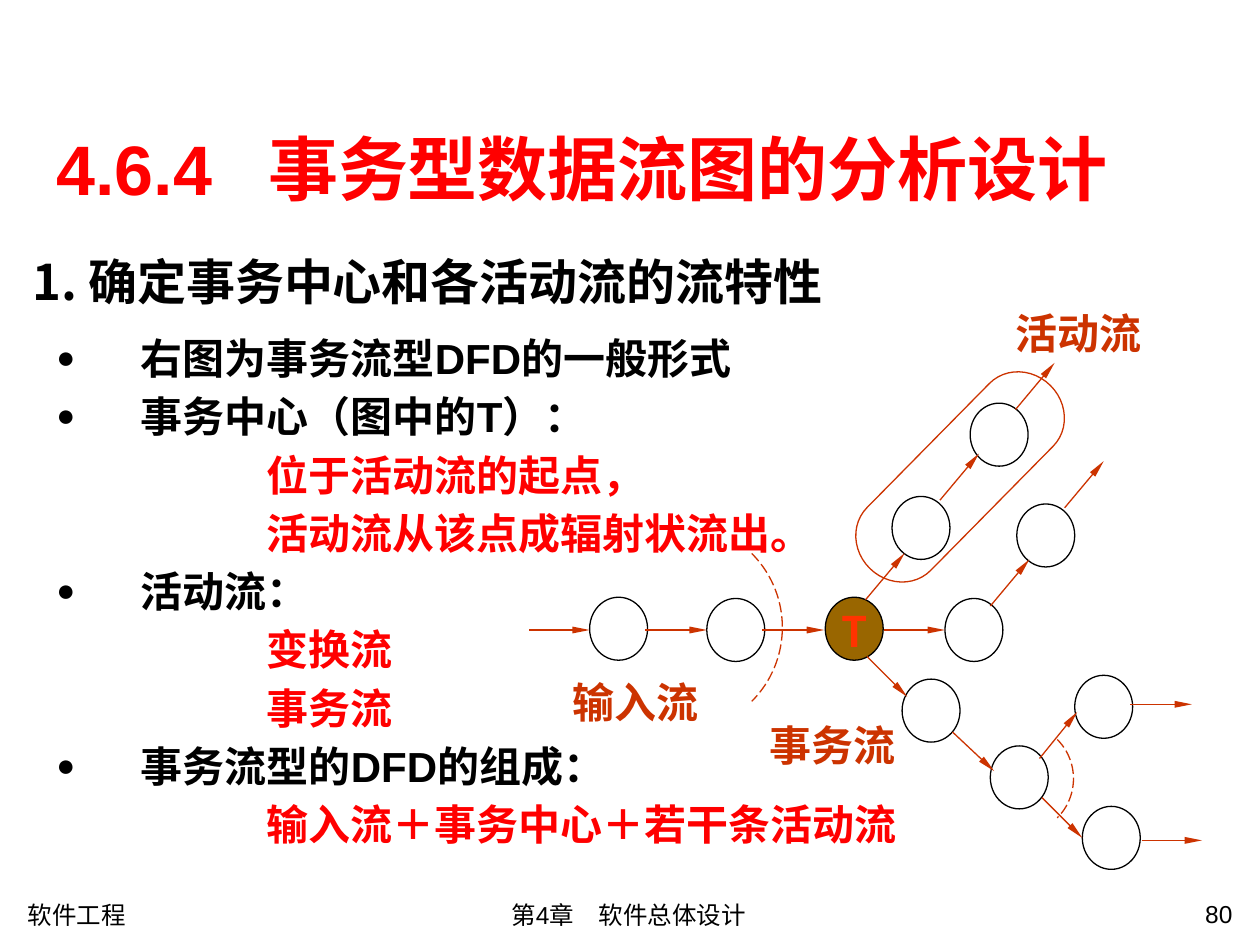
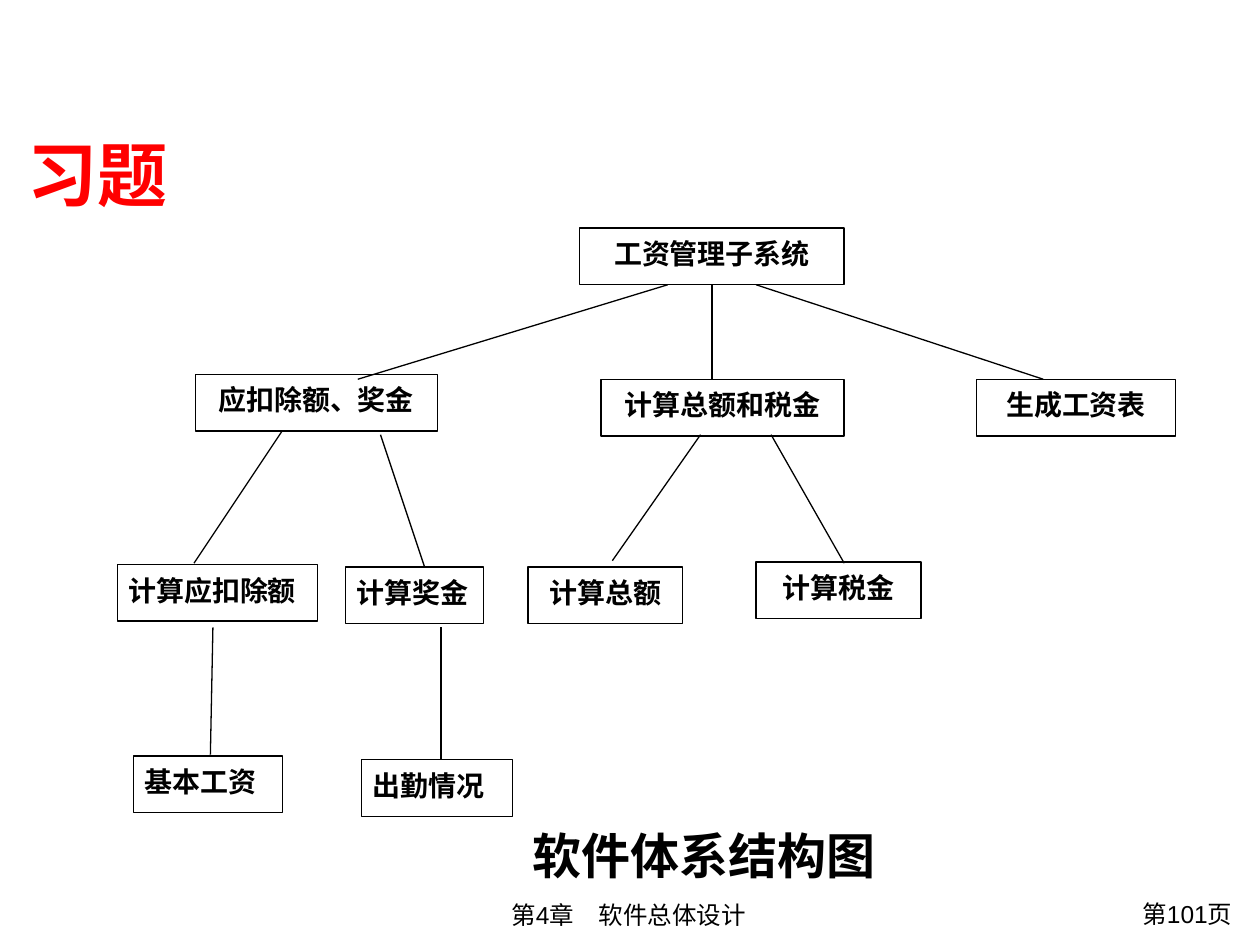
from lxml import etree
from pptx import Presentation
from pptx.dml.color import RGBColor
from pptx.enum.dml import MSO_LINE
from pptx.enum.shapes import MSO_CONNECTOR, MSO_SHAPE
from pptx.enum.text import MSO_ANCHOR, PP_ALIGN
from pptx.oxml.ns import qn
from pptx.util import Inches, Pt

BLACK = RGBColor(0, 0, 0)
WHITE = RGBColor(255, 255, 255)
RED = RGBColor(255, 0, 0)
RUST = RGBColor(0xCC, 0x33, 0x00)
BROWN = RGBColor(0x99, 0x66, 0x00)
ORANGE = RGBColor(0xFF, 0x33, 0x00)
ARIAL = "Arial"
TIMES = "Times New Roman"
CHINESE = "Noto Sans CJK SC"
HEADING_FONT = "Noto Sans CJK JP"
LEFT, CENTER, RIGHT, JUSTIFY = PP_ALIGN.LEFT, PP_ALIGN.CENTER, PP_ALIGN.RIGHT, PP_ALIGN.JUSTIFY
TOP, MIDDLE = MSO_ANCHOR.TOP, MSO_ANCHOR.MIDDLE
OVAL, BOX = MSO_SHAPE.OVAL, MSO_SHAPE.RECTANGLE
ARC, TERMINATOR = MSO_SHAPE.ARC, MSO_SHAPE.FLOWCHART_TERMINATOR
STRAIGHT = MSO_CONNECTOR.STRAIGHT
LONG_DASH = MSO_LINE.LONG_DASH
LINE_HEIGHT = 1.29
LINE_WIDTH = Pt(0.75)
NODE_WIDTH, NODE_HEIGHT = 0.46, 0.5
BOX_HEIGHT = 0.45
BODY_INDENT, DETAIL_INDENT = 0.67, 1.67

BODY = [
    (True, "右图为事务流型DFD的一般形式"),
    (True, "事务中心（图中的T）："),
    (False, "位于活动流的起点，"),
    (False, "活动流从该点成辐射状流出。"),
    (True, "活动流："),
    (False, "变换流"),
    (False, "事务流"),
    (True, "事务流型的DFD的组成："),
    (False, "输入流＋事务中心＋若干条活动流"),
]
FLOW_NODES = [
    (4.68, 4.74), (5.61, 4.75), (7.08, 3.94), (7.5, 4.75), (7.7, 3.2),
    (8.07, 4), (7.16, 5.39), (7.86, 5.92), (8.59, 6.4), (8.53, 5.36),
]
FLOW_ARROWS = [
    (4.2, 5, 4.68, 5), (5.12, 5, 5.61, 5), (6.05, 5, 6.54, 5), (7.02, 5, 7.5, 5),
    (6.87, 4.76, 7.18, 4.39), (7.46, 3.97, 7.77, 3.6), (8.06, 3.25, 8.37, 2.88),
    (7.86, 4.81, 8.17, 4.44), (8.45, 4.03, 8.76, 3.66),
    (6.88, 5.21, 7.2, 5.53), (7.56, 5.81, 7.89, 6.12), (8.27, 6.33, 8.59, 6.65),
    (8.25, 6.02, 8.55, 5.65), (9.06, 6.67, 9.54, 6.67), (8.97, 5.59, 9.46, 5.59),
]
MODULES = [
    ("工资管理子系统", 4.6, 1.81, 2.1, ARIAL, CENTER),
    ("应扣除额、奖金", 1.55, 2.97, 1.92, TIMES, CENTER),
    ("计算总额和税金", 4.77, 3.01, 1.93, ARIAL, CENTER),
    ("生成工资表", 7.75, 3.01, 1.58, ARIAL, CENTER),
    ("计算应扣除额", 0.93, 4.48, 1.59, ARIAL, JUSTIFY),
    ("计算奖金", 2.74, 4.5, 1.1, TIMES, LEFT),
    ("计算总额", 4.19, 4.5, 1.23, TIMES, CENTER),
    ("计算税金", 6, 4.46, 1.31, TIMES, CENTER),
    ("基本工资", 1.06, 6, 1.18, ARIAL, JUSTIFY),
    ("出勤情况", 2.87, 6.03, 1.2, ARIAL, LEFT),
]
MODULE_LINKS = [
    (2.84, 3.01, 5.3, 2.26), (5.65, 2.26, 5.65, 3.01), (6, 2.26, 8.28, 3.01),
    (5.56, 3.45, 4.86, 4.45), (6.12, 3.45, 6.7, 4.47),
    (2.24, 3.42, 1.54, 4.47), (3.02, 3.45, 3.37, 4.5),
    (1.69, 4.98, 1.67, 5.99), (3.5, 4.98, 3.5, 6.03),
]


def write(paragraph, text, size, color=BLACK, font=ARIAL, bold=True, align=LEFT):
    paragraph.alignment = align
    paragraph.line_spacing = Pt(size * LINE_HEIGHT)
    run = paragraph.add_run()
    run.text = text
    run.font.size = Pt(size)
    run.font.bold = bold
    run.font.name = font
    run.font.color.rgb = color
    east_asian = etree.SubElement(run.font._element, qn("a:ea"))
    east_asian.set("typeface", CHINESE)


def set_frame(frame, inset_x=0.1, inset_y=0.05, anchor=TOP, wrap=True):
    frame.word_wrap = wrap
    frame.vertical_anchor = anchor
    frame.margin_left = frame.margin_right = Inches(inset_x)
    frame.margin_top = frame.margin_bottom = Inches(inset_y)
    return frame.paragraphs[0]


def add_text(slide, text, left, top, width, height, size, anchor=TOP, wrap=True, inset=True, **style):
    text_box = slide.shapes.add_textbox(Inches(left), Inches(top), Inches(width), Inches(height))
    insets = (0.1, 0.05) if inset else (0, 0)
    paragraph = set_frame(text_box.text_frame, *insets, anchor, wrap)
    write(paragraph, text, size, **style)
    return paragraph


def add_outline(slide, kind, left, top, width, height, line=BLACK, fill=None):
    shape = slide.shapes.add_shape(kind, Inches(left), Inches(top), Inches(width), Inches(height))
    shape.shadow.inherit = False
    shape.line.color.rgb = line
    shape.line.width = LINE_WIDTH
    if fill is None:
        shape.fill.background()
    else:
        shape.fill.solid()
        shape.fill.fore_color.rgb = fill
    return shape


def add_node(slide, left, top, fill=WHITE):
    return add_outline(slide, OVAL, left, top, NODE_WIDTH, NODE_HEIGHT, fill=fill)


def add_line(slide, points, color, arrow=False):
    connector = slide.shapes.add_connector(STRAIGHT, *(Inches(value) for value in points))
    connector.line.color.rgb = color
    connector.line.width = LINE_WIDTH
    properties = connector._element.spPr
    if arrow:
        tail = etree.SubElement(properties.find(qn("a:ln")), qn("a:tailEnd"))
        tail.set("type", "triangle")
        tail.set("w", "sm")
        tail.set("len", "lg")
    etree.SubElement(properties, qn("a:effectLst"))


def add_dashed_arc(slide, center_x, center_y, radius):
    arc = add_outline(slide, ARC, center_x - radius, center_y - radius, 2 * radius, 2 * radius, RUST)
    arc.line.dash_style = LONG_DASH
    for index, degrees in enumerate((315, 45)):
        arc.adjustments[index] = degrees * 0.6


def add_module(slide, text, left, top, width, font, align):
    box = add_outline(slide, BOX, left, top, width, BOX_HEIGHT, fill=WHITE)
    write(set_frame(box.text_frame, 0.09), text, 16, font=font, align=align)


def set_tab(paragraph, position):
    tabs = etree.SubElement(paragraph._p.get_or_add_pPr(), qn("a:tabLst"))
    tab = etree.SubElement(tabs, qn("a:tab"))
    tab.set("pos", str(Inches(position)))
    tab.set("algn", "l")


def set_bullet(paragraph):
    properties = paragraph._p.get_or_add_pPr()
    color = etree.SubElement(properties, qn("a:buClr"))
    etree.SubElement(color, qn("a:srgbClr")).set("val", str(BLACK))
    etree.SubElement(properties, qn("a:buSzPct")).set("val", "75000")
    etree.SubElement(properties, qn("a:buFont")).set("typeface", ARIAL)
    etree.SubElement(properties, qn("a:buChar")).set("char", "●")


def add_body(slide):
    text_box = slide.shapes.add_textbox(Inches(0.35), Inches(2.56), Inches(9), Inches(4.48))
    frame = text_box.text_frame
    paragraph = set_frame(frame)
    for index, (bulleted, text) in enumerate(BODY):
        if index:
            paragraph = frame.add_paragraph()
            paragraph.space_before = Pt(2.35)
        properties = paragraph._p.get_or_add_pPr()
        properties.set("marL", str(Inches(BODY_INDENT if bulleted else DETAIL_INDENT)))
        properties.set("indent", str(Inches(-BODY_INDENT if bulleted else 0)))
        if bulleted:
            set_bullet(paragraph)
        write(paragraph, text, 24, BLACK if bulleted else RED, align=JUSTIFY)


def add_title(slide, text, left, top, width, height):
    return add_text(slide, text, left, top, width, height, 40, MIDDLE, color=RED)


def add_slide(presentation, page):
    slide = presentation.slides.add_slide(presentation.slide_layouts[6])
    add_text(slide, "第4章　软件总体设计", 2.35, 7.08, 5.28, 0.34, 14, bold=False, align=CENTER)
    add_text(slide, page, 8.54, 7.07, 1.34, 0.37, 14, bold=False, align=RIGHT)
    return slide


def build_transaction_flow(presentation):
    slide = add_slide(presentation, "80")
    add_text(slide, "软件工程", 0.12, 7.08, 1.57, 0.32, 14, bold=False)
    title = add_title(slide, "4.6.4\t事务型数据流图的分析设计", 0.35, 0.83, 9, 0.95)
    set_tab(title, 1.68)
    add_text(slide, "1. 确定事务中心和各活动流的流特性", 0.16, 1.86, 9.27, 0.71, 28, MIDDLE, font=HEADING_FONT)
    add_body(slide)
    for left, top in FLOW_NODES:
        add_node(slide, left, top)
    center = add_node(slide, 6.55, 4.74, BROWN)
    write(set_frame(center.text_frame, 0, 0, MIDDLE), "T", 24, ORANGE, CHINESE, align=CENTER)
    for points in FLOW_ARROWS:
        add_line(slide, points, RUST, arrow=True)
    activity = add_outline(slide, TERMINATOR, 6.6, 3.43, 2.04, 0.71, RUST)
    activity.rotation = 314.6
    add_dashed_arc(slide, 5.38, 4.98, 0.83)
    add_dashed_arc(slide, 8.08, 6.18, 0.44)
    label = {"size": 24, "color": RUST, "font": TIMES}
    add_text(slide, "输入流", 4.54, 5.34, 1.11, 0.41, inset=False, align=JUSTIFY, **label)
    add_text(slide, "事务流", 5.67, 5.68, 1.87, 0.41, inset=False, align=CENTER, **label)
    add_text(slide, "活动流", 7.96, 2.36, 1.2, 0.5, wrap=False, align=JUSTIFY, **label)


def build_structure_chart(presentation):
    slide = add_slide(presentation, "第101页")
    add_title(slide, "习题", 0.12, 0.99, 3.62, 0.72)
    for module in MODULES:
        add_module(slide, *module)
    for points in MODULE_LINKS:
        add_line(slide, points, BLACK)
    add_text(slide, "软件体系结构图", 4.13, 6.41, 3.08, 0.72, 28, MIDDLE)


def main():
    presentation = Presentation()
    presentation.slide_width = Inches(10)
    presentation.slide_height = Inches(7.5)
    build_transaction_flow(presentation)
    build_structure_chart(presentation)
    presentation.save("out.pptx")


if __name__ == "__main__":
    main()
